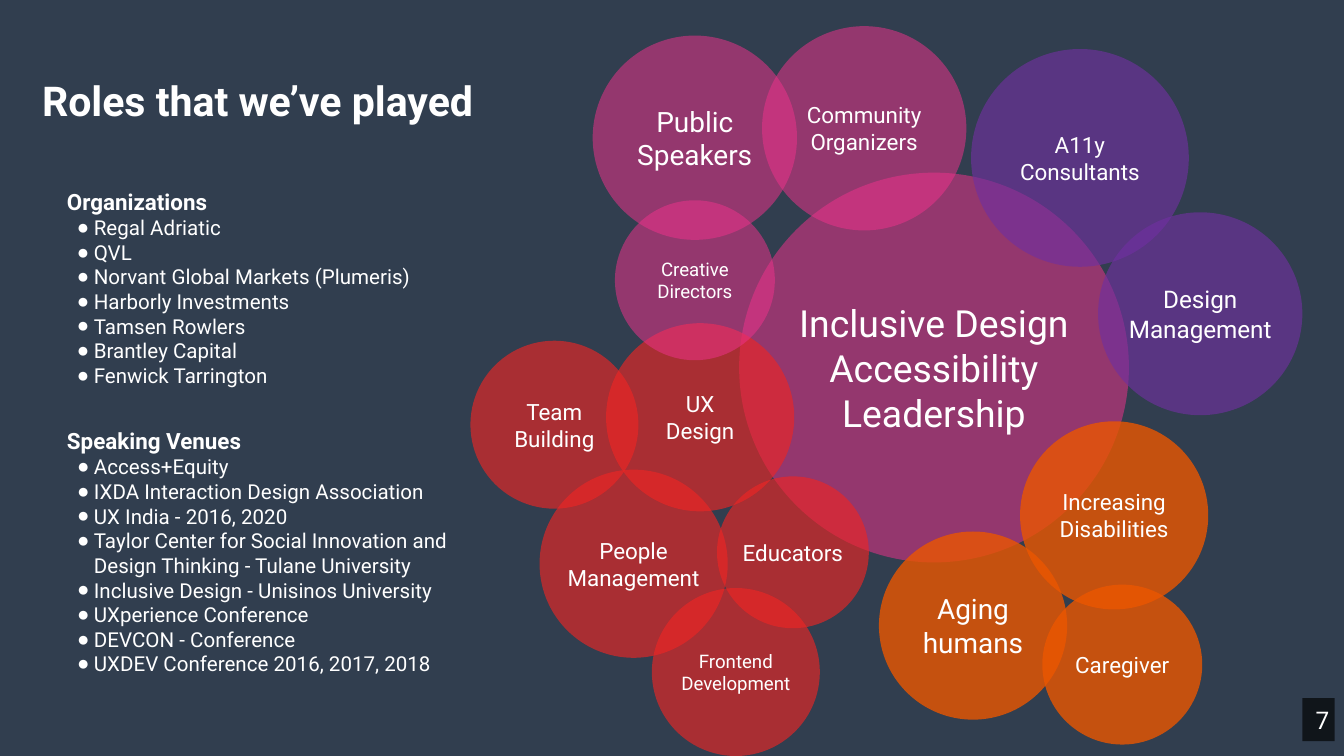
from lxml import etree
from pptx import Presentation
from pptx.dml.color import RGBColor
from pptx.enum.shapes import MSO_SHAPE
from pptx.enum.text import MSO_ANCHOR, PP_ALIGN
from pptx.oxml.ns import qn
from pptx.util import Pt

EMU_PER_PX = 4572
WHITE = "FFFFFF"
PINK = ("ED328B", 53)
RED = ("EE2524", 64)
PURPLE = ("7030A0", 64)
ORANGE = ("EB5600", 80)

ROLES = [
    ("People Management", 803, 699, 280, 280, RED, 12),
    ("Inclusive Design\vAccessibility\vLeadership", 1100, 257, 580, 580, PINK, 20),
    ("Design Management", 1634, 316, 304, 302, PURPLE, 13),
    ("A11y\nConsultants", 1445, 73, 324, 324, PURPLE, 12),
    ("Aging humans", 1308, 791, 280, 280, ORANGE, 15),
    ("Caregiver", 1551, 870, 238, 238, ORANGE, 12),
    ("Community Organizers", 1134, 39, 304, 304, PINK, 12),
    ("Public Speakers", 882, 53, 304, 304, PINK, 15),
    ("Educators", 1067, 709, 226, 226, RED, 12),
    ("Team Building", 700, 507, 250, 250, RED, 12),
    ("UX\nDesign", 902, 481, 280, 280, RED, 12),
    ("Increasing Disabilities", 1518, 627, 280, 280, ORANGE, 12),
    ("Frontend Development", 970, 875, 250, 250, RED, 10),
    ("Creative Directors", 915, 298, 238, 238, PINK, 10),
]

ORGANIZATIONS = [
    "Regal Adriatic",
    "QVL",
    "Norvant Global Markets (Plumeris)",
    "Harborly Investments",
    "Tamsen Rowlers",
    "Brantley Capital",
    "Fenwick Tarrington",
]

VENUES = [
    "Access+Equity",
    "IXDA Interaction Design Association",
    "UX India - 2016, 2020",
    "Taylor Center for Social Innovation and Design Thinking - Tulane University",
    "Inclusive Design - Unisinos University",
    "UXperience Conference",
    "DEVCON - Conference",
    "UXDEV Conference 2016, 2017, 2018",
]


def px(length):
    return length * EMU_PER_PX


def color(hex_code):
    return RGBColor.from_string(hex_code)


def add_bullet(paragraph):
    properties = paragraph._p.get_or_add_pPr()
    properties.set("marL", str(px(40)))
    properties.set("indent", str(px(-25)))
    bullet_color = etree.SubElement(properties, qn("a:buClr"))
    etree.SubElement(bullet_color, qn("a:srgbClr")).set("val", WHITE)
    etree.SubElement(properties, qn("a:buFont")).set("typeface", "Arial")
    etree.SubElement(properties, qn("a:buChar")).set("char", "●")


def write(paragraph, text, size=12, bold=False, align=PP_ALIGN.LEFT,
          spacing=None, bullet=False):
    paragraph.text = text
    paragraph.alignment = align
    if spacing:
        paragraph.line_spacing = spacing
    if bullet:
        add_bullet(paragraph)
    for run in paragraph.runs:
        run.font.name = "Roboto"
        run.font.size = Pt(size)
        run.font.bold = bold
        run.font.color.rgb = color(WHITE)


class RolesSlide:
    def __init__(self, presentation, background):
        self.slide = presentation.slides.add_slide(presentation.slide_layouts[6])
        fill = self.slide.background.fill
        fill.solid()
        fill.fore_color.rgb = color(background)

    def frame(self, shape, inset, anchor):
        frame = shape.text_frame
        frame.word_wrap = True
        frame.vertical_anchor = anchor
        frame.margin_left = frame.margin_right = px(inset)
        frame.margin_top = frame.margin_bottom = px(inset)
        return frame

    def text_box(self, left, top, width, height, anchor=MSO_ANCHOR.TOP):
        box = self.slide.shapes.add_textbox(*map(px, (left, top, width, height)))
        return self.frame(box, 20, anchor)

    def title(self, text, left, top, width, height):
        frame = self.text_box(left, top, width, height, MSO_ANCHOR.BOTTOM)
        write(frame.paragraphs[0], text, size=22, bold=True)

    def bullet_list(self, heading, items, left, top, width, height):
        frame = self.text_box(left, top, width, height)
        write(frame.paragraphs[0], heading, bold=True, spacing=1.5)
        for item in items:
            write(frame.add_paragraph(), item, size=11, bullet=True)

    def label(self, preset, text, left, top, width, height, tint, size, inset=0):
        shape = self.slide.shapes.add_shape(
            preset, *map(px, (left, top, width, height)))
        shape.shadow.inherit = False
        shape.line.fill.background()
        hex_code, opacity = tint
        shape.fill.solid()
        shape.fill.fore_color.rgb = color(hex_code)
        rgb = shape._element.spPr.find(".//" + qn("a:srgbClr"))
        etree.SubElement(rgb, qn("a:alpha")).set("val", str(opacity * 1000))
        frame = self.frame(shape, inset, MSO_ANCHOR.MIDDLE)
        for index, line in enumerate(text.split("\n")):
            paragraph = frame.add_paragraph() if index else frame.paragraphs[0]
            write(paragraph, line, size=size, align=PP_ALIGN.CENTER)

    def role(self, *details):
        self.label(MSO_SHAPE.OVAL, *details)

    def page_number(self, text, left, top, width, height):
        self.label(MSO_SHAPE.RECTANGLE, text, left, top, width, height,
                   ("000000", 66), 13, inset=20)


def main():
    presentation = Presentation()
    presentation.slide_width = px(2000)
    presentation.slide_height = px(1125)
    page = RolesSlide(presentation, "313E4F")
    page.title("Roles that we’ve played", 43, 88, 1682, 118)
    page.bullet_list("Organizations", ORGANIZATIONS, 80, 240, 620, 360)
    for role in ROLES:
        page.role(*role)
    page.page_number("7", 1938, 1039, 48, 64)
    page.bullet_list("Speaking Venues", VENUES, 80, 596, 704, 434)
    presentation.save("out.pptx")


if __name__ == "__main__":
    main()
